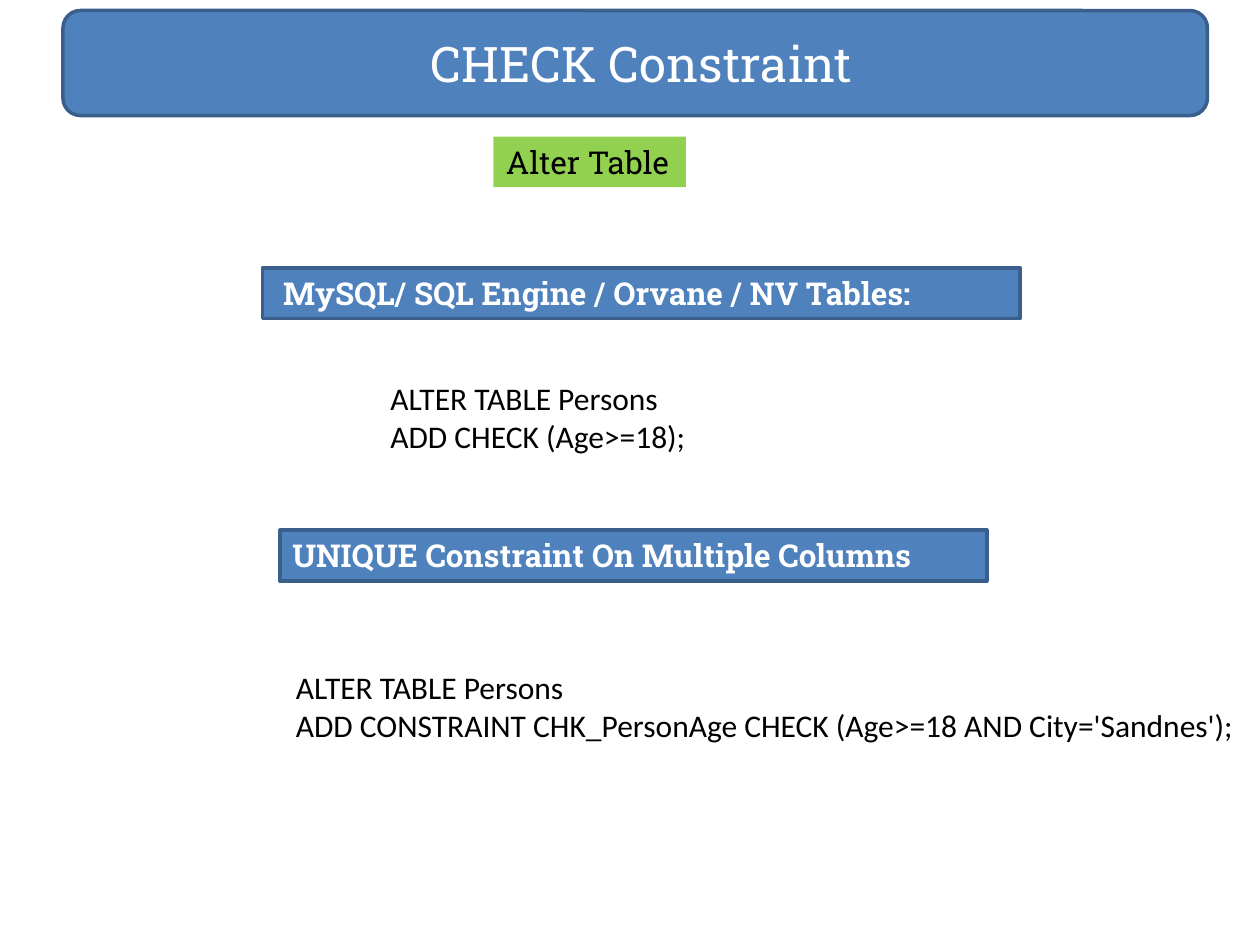
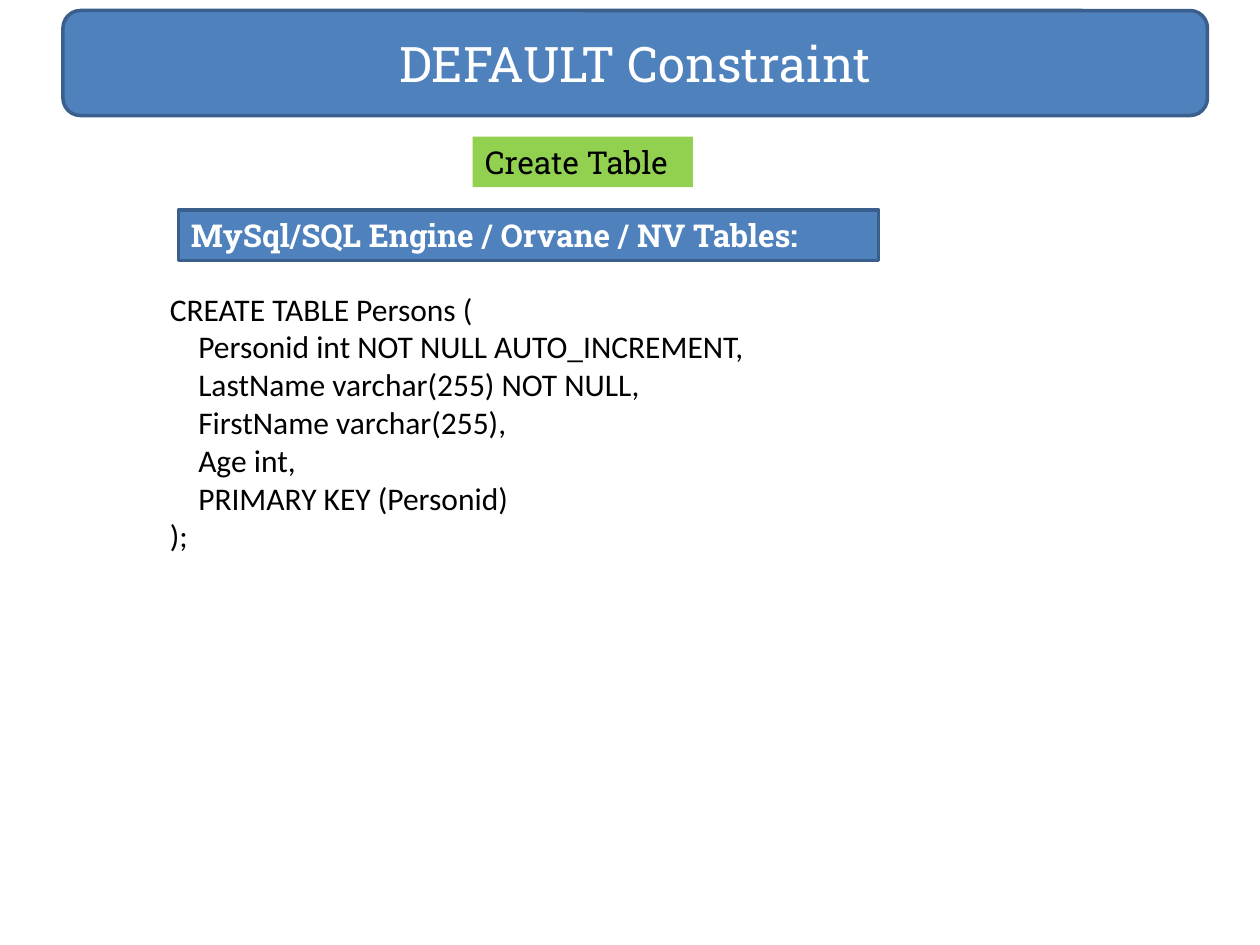
from dataclasses import dataclass

from pptx import Presentation
from pptx.dml.color import RGBColor
from pptx.enum.shapes import MSO_SHAPE
from pptx.enum.text import MSO_ANCHOR, MSO_AUTO_SIZE, PP_ALIGN
from pptx.util import Pt


# Colours, fonts and type sizes
@dataclass(frozen=True)
class Theme:
    blue: RGBColor = RGBColor(0x4F, 0x81, 0xBD)
    blue_edge: RGBColor = RGBColor(0x3A, 0x5F, 0x8C)
    green: RGBColor = RGBColor(0x92, 0xD0, 0x50)
    white: RGBColor = RGBColor(0xFF, 0xFF, 0xFF)
    black: RGBColor = RGBColor(0, 0, 0)
    heading_font: str = "Roboto Slab"
    code_font: str = "Calibri"
    title_size: float = 28
    text_size: float = 18
    edge_width: float = 2


THEME = Theme()
TITLE_ONLY = 5
TITLE_BAND = (36, 6, 654, 60)
TAG_TOP = 78
LABEL_HEIGHT = 29
INSET = 7.2


# Repeated elements; all lengths are in points
@dataclass(frozen=True)
class Label:
    text: str
    left: float
    top: float
    width: float
    indent: float = 0


@dataclass(frozen=True)
class Code:
    text: str
    left: float
    top: float
    width: float
    height: float


@dataclass(frozen=True)
class Topic:
    title: str
    tag: Label
    headings: tuple[Label, ...]
    codes: tuple[Code, ...]
    title_indent: float = 0


TOPICS = (
    Topic(
        "CHECK Constraint",
        Label("Alter Table", 282, TAG_TOP, 110),
        (
            Label("MySQL/ SQL Engine / Orvane / NV Tables:", 150, 153, 433, indent=4.5),
            Label("UNIQUE Constraint On Multiple Columns", 160, 303, 404),
        ),
        (
            Code("ALTER TABLE Persons\nADD CHECK (Age>=18);", 216, 213, 360, 51),
            Code(
                "ALTER TABLE Persons\n"
                "ADD CONSTRAINT CHK_PersonAge CHECK (Age>=18 AND City='Sandnes');",
                162, 378, 558, 51,
            ),
        ),
        title_indent=7,
    ),
    Topic(
        "DEFAULT Constraint",
        Label("Create Table", 270, TAG_TOP, 126),
        (Label("MySql/SQL Engine / Orvane / NV Tables:", 102, 120, 400),),
        (
            Code(
                "CREATE TABLE Persons (\n"
                "    Personid int NOT NULL AUTO_INCREMENT,\n"
                "    LastName varchar(255) NOT NULL,\n"
                "    FirstName varchar(255),\n"
                "    Age int,\n"
                "    PRIMARY KEY (Personid)\n"
                ");",
                90, 162, 360, 160,
            ),
        ),
    ),
)


def write_text(frame, text: str, *, font: str, size: float, color: RGBColor,
               bold: bool = False, align=PP_ALIGN.LEFT, anchor=MSO_ANCHOR.TOP,
               indent: float = 0) -> None:
    frame.word_wrap = True
    frame.auto_size = MSO_AUTO_SIZE.NONE
    frame.vertical_anchor = anchor
    frame.margin_left = Pt(INSET + indent)
    para = frame.paragraphs[0]
    para.text = text
    para.alignment = align
    for span in para.runs:
        span.font.name = font
        span.font.size = Pt(size)
        span.font.color.rgb = color
        span.font.bold = bold


def add_panel(page, kind, bounds: tuple, fill: RGBColor, edge: RGBColor | None = None):
    panel = page.shapes.add_shape(kind, *map(Pt, bounds))
    panel.shadow.inherit = False
    panel.fill.solid()
    panel.fill.fore_color.rgb = fill
    if edge is None:
        panel.line.fill.background()
    else:
        panel.line.color.rgb = edge
        panel.line.width = Pt(THEME.edge_width)
    return panel


def add_title(page, text: str, indent: float) -> None:
    band = add_panel(page, MSO_SHAPE.ROUNDED_RECTANGLE, TITLE_BAND, THEME.blue, THEME.blue_edge)
    title = page.shapes.title
    title._element.addprevious(band._element)  # the band lies behind the title
    title.left, title.top, title.width, title.height = map(Pt, TITLE_BAND)
    write_text(title.text_frame, text, font=THEME.heading_font, size=THEME.title_size,
               color=THEME.white, align=PP_ALIGN.CENTER, anchor=MSO_ANCHOR.MIDDLE,
               indent=indent)


def add_label(page, label: Label, *, fill: RGBColor, color: RGBColor,
              edge: RGBColor | None = None, bold: bool = False) -> None:
    bounds = (label.left, label.top, label.width, LABEL_HEIGHT)
    panel = add_panel(page, MSO_SHAPE.RECTANGLE, bounds, fill, edge)
    write_text(panel.text_frame, label.text, font=THEME.heading_font, size=THEME.text_size,
               color=color, bold=bold, indent=label.indent)


def add_code(page, code: Code) -> None:
    box = page.shapes.add_textbox(*map(Pt, (code.left, code.top, code.width, code.height)))
    write_text(box.text_frame, code.text, font=THEME.code_font, size=THEME.text_size,
               color=THEME.black)


def add_topic(deck, topic: Topic) -> None:
    page = deck.slides.add_slide(deck.slide_layouts[TITLE_ONLY])
    add_title(page, topic.title, topic.title_indent)
    add_label(page, topic.tag, fill=THEME.green, color=THEME.black)
    for heading in topic.headings:
        add_label(page, heading, fill=THEME.blue, color=THEME.white,
                  edge=THEME.blue_edge, bold=True)
    for code in topic.codes:
        add_code(page, code)


def main() -> None:
    deck = Presentation()
    deck.slide_width, deck.slide_height = Pt(720), Pt(540)
    for topic in TOPICS:
        add_topic(deck, topic)
    deck.save("out.pptx")


if __name__ == "__main__":
    main()
